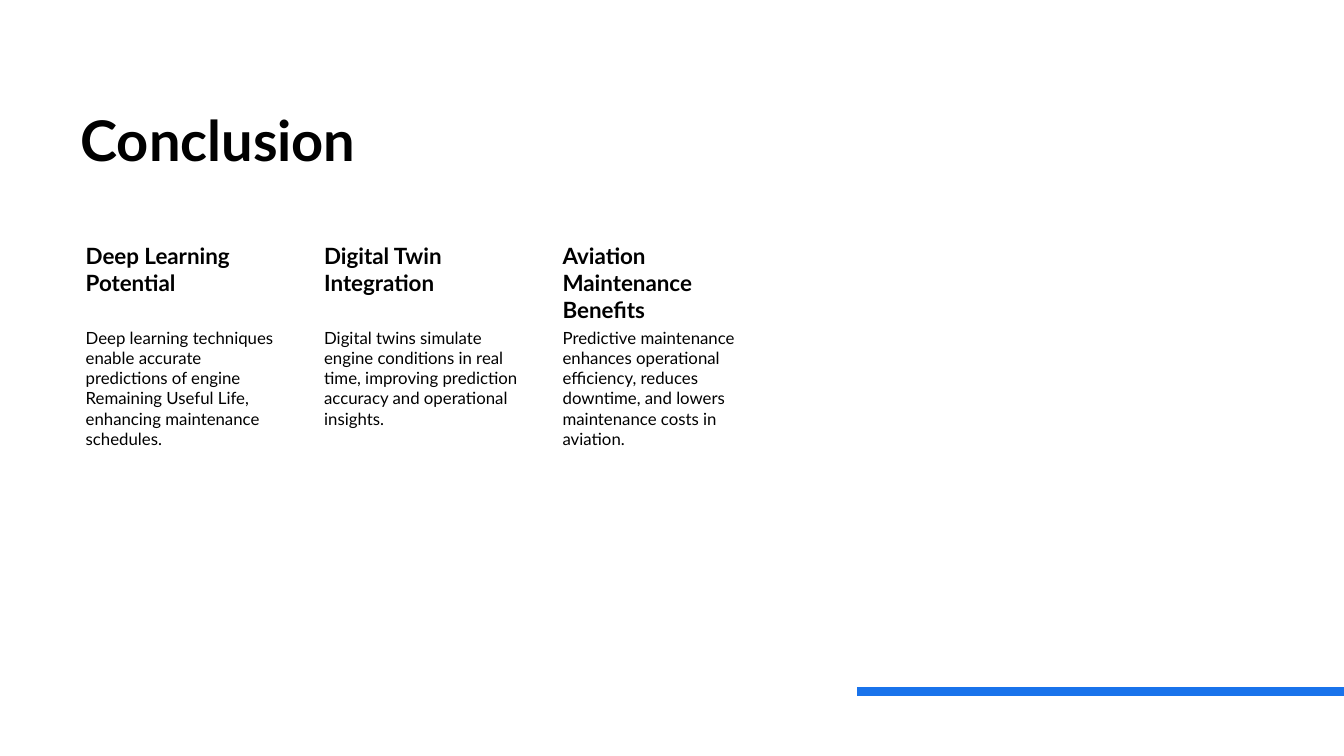
from lxml import etree
from pptx import Presentation
from pptx.dml.color import RGBColor
from pptx.enum import shapes, text
from pptx.oxml.ns import qn
from pptx.util import Inches, Pt

TITLE = "Conclusion"
COLUMNS = [
    ("Deep Learning Potential",
     "Deep learning techniques enable accurate predictions of engine "
     "Remaining Useful Life, enhancing maintenance schedules."),
    ("Digital Twin Integration",
     "Digital twins simulate engine conditions in real time, improving "
     "prediction accuracy and operational insights."),
    ("Aviation Maintenance Benefits",
     "Predictive maintenance enhances operational efficiency, reduces "
     "downtime, and lowers maintenance costs in aviation."),
]
COLORS = {"text": "000000", "accent": "1973EB", "background": "FFFFFF"}
FONT = "Lato"

# Layout in inches
LEFT, CONTENT_WIDTH = 0.7, 6.88
COLUMN_WIDTH = 2.15
COLUMN_STEP = (CONTENT_WIDTH - COLUMN_WIDTH) / (len(COLUMNS) - 1)
HEADING_TOP, HEADING_HEIGHT = 2.38, 0.85
BODY_TOP, BODY_HEIGHT = HEADING_TOP + HEADING_HEIGHT, 3.65
COLUMN_INSETS = (0.15, 0.02, 0.02, 0.02)


def add_text(page, words, left, top, width, height, *, size, bold=False,
             insets=(0.1, 0.05, 0.1, 0.05)):
    box = page.shapes.add_textbox(*map(Inches, (left, top, width, height)))
    frame = box.text_frame
    frame.word_wrap = True
    frame.vertical_anchor = text.MSO_ANCHOR.TOP
    (frame.margin_left, frame.margin_top,
     frame.margin_right, frame.margin_bottom) = map(Inches, insets)
    span = frame.paragraphs[0].add_run()
    span.text = words
    span.font.name = FONT
    span.font.size = Pt(size)
    span.font.bold = bold
    span.font.color.rgb = RGBColor.from_string(COLORS["text"])


def main():
    deck = Presentation()
    deck.slide_width, deck.slide_height = Inches(13.33), Inches(7.5)
    page = deck.slides.add_slide(deck.slide_layouts[6])
    page.background.fill.solid()
    page.background.fill.fore_color.rgb = RGBColor.from_string(COLORS["background"])

    # Title
    add_text(page, TITLE, LEFT, 1, CONTENT_WIDTH, 1.2, size=40, bold=True)

    # Accent line running to the right edge
    accent = page.shapes.add_connector(
        shapes.MSO_CONNECTOR.STRAIGHT,
        Inches(8.5), Inches(6.86), deck.slide_width, Inches(6.86))
    accent.line.color.rgb = RGBColor.from_string(COLORS["accent"])
    accent.line.width = Pt(6)
    etree.SubElement(accent._element.spPr, qn("a:effectLst"))

    # Three columns, each a heading above its body
    for index, (heading, body) in enumerate(COLUMNS):
        left = LEFT + index * COLUMN_STEP
        add_text(page, heading, left, HEADING_TOP, COLUMN_WIDTH, HEADING_HEIGHT,
                 size=16, bold=True, insets=COLUMN_INSETS)
        add_text(page, body, left, BODY_TOP, COLUMN_WIDTH, BODY_HEIGHT,
                 size=12, insets=COLUMN_INSETS)

    deck.save("out.pptx")


if __name__ == "__main__":
    main()
